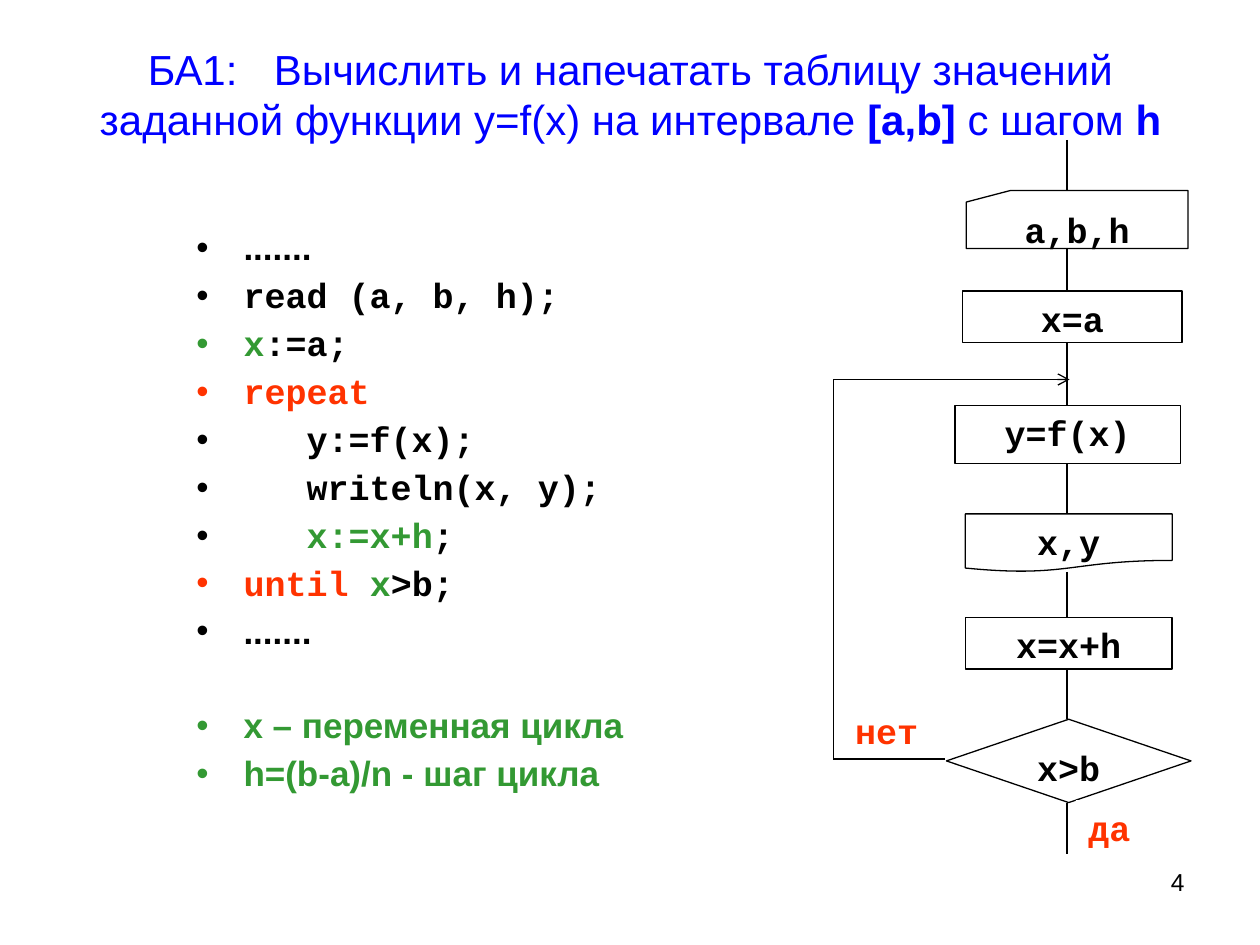
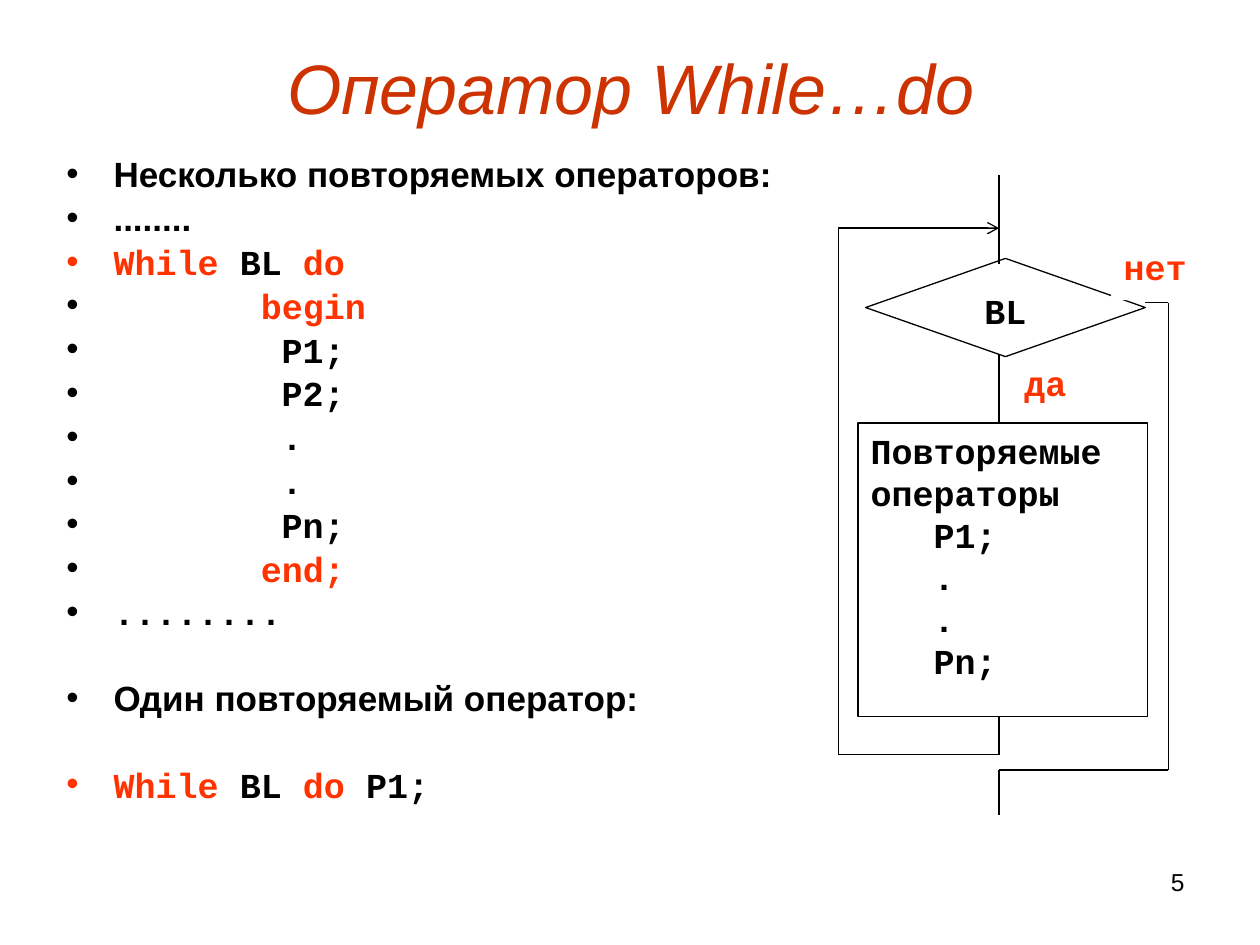
from itertools import pairwise

from lxml.etree import SubElement
from pptx import Presentation
from pptx.dml.color import RGBColor
from pptx.enum.shapes import MSO_CONNECTOR, MSO_SHAPE as Preset
from pptx.enum.text import MSO_ANCHOR as Anchor, PP_ALIGN as Align
from pptx.oxml.ns import qn
from pptx.util import Cm, Pt

BLACK = RGBColor(0x00, 0x00, 0x00)
WHITE = RGBColor(0xFF, 0xFF, 0xFF)
BLUE = RGBColor(0x00, 0x00, 0xFF)
GREEN = RGBColor(0x33, 0x99, 0x33)
RED = RGBColor(0xFF, 0x33, 0x00)
BRICK = RGBColor(0xCC, 0x33, 0x00)

SANS = "Arial"
MONO = "Courier New"
BODY_SIZE = 20
LINE_WIDTH = Pt(0.75)
BULLET_INDENT = Cm(0.95)
BULLET_SPACE = 5.8
TAB_STEP = Cm(2.54)


def add_run(paragraph, text, *, size=BODY_SIZE, font=MONO, color=BLACK,
            bold=False, italic=False):
    run = paragraph.add_run()
    run.text = text
    run.font.size = Pt(size)
    run.font.name = font
    run.font.color.rgb = color
    run.font.bold = bold
    run.font.italic = italic


def add_text_box(slide, left, top, width, height, anchor=Anchor.TOP):
    box = slide.shapes.add_textbox(Cm(left), Cm(top), Cm(width), Cm(height))
    box.text_frame.word_wrap = True
    box.text_frame.vertical_anchor = anchor
    return box.text_frame


def next_paragraph(frame, index):
    return frame.add_paragraph() if index else frame.paragraphs[0]


def add_tab_stops(paragraph):
    tabs = SubElement(paragraph._p.get_or_add_pPr(), qn("a:tabLst"))
    for step in range(8):
        SubElement(tabs, qn("a:tab"), pos=str(step * TAB_STEP), algn="l")


def add_title(slide, top, height, runs, **style):
    """Centred title; each run is (text, bold)."""
    frame = add_text_box(slide, 1.28, top, 22.86, height, Anchor.MIDDLE)
    paragraph = frame.paragraphs[0]
    paragraph.alignment = Align.CENTER
    add_tab_stops(paragraph)
    for text, bold in runs:
        add_run(paragraph, text, font=SANS, bold=bold, **style)


def add_slide_number(slide, number):
    paragraph = add_text_box(slide, 18.21, 17.35, 5.92, 1.32).paragraphs[0]
    paragraph.alignment = Align.RIGHT
    add_run(paragraph, str(number), size=14, font=SANS)


def add_bullet(paragraph, color):
    properties = paragraph._p.get_or_add_pPr()
    properties.set("marL", str(BULLET_INDENT))
    properties.set("indent", str(-BULLET_INDENT))
    bullet_color = SubElement(properties, qn("a:buClr"))
    SubElement(bullet_color, qn("a:srgbClr"), val=str(color))
    SubElement(properties, qn("a:buFont"), typeface=SANS)
    SubElement(properties, qn("a:buChar"), char="•")


def add_listing(slide, left, top, width, height, spacing, lines):
    """Bulleted lines (font, runs); None widens the gap before the next line."""
    frame = add_text_box(slide, left, top, width, height)
    skipped_line = BULLET_SPACE + BODY_SIZE * 1.15 * spacing
    space = 0
    for index, line in enumerate(lines):
        if line is None:
            space += skipped_line
            continue
        font, runs = line
        paragraph = next_paragraph(frame, index)
        paragraph.line_spacing = spacing
        paragraph.space_before = Pt(space)
        add_bullet(paragraph, runs[0][1])
        for text, color in runs:
            add_run(paragraph, text, font=font, color=color, bold=True)
        space = BULLET_SPACE


def code(*runs):
    return MONO, runs


def prose(text, color=BLACK):
    return SANS, [(text, color)]


def add_block(slide, preset, left, top, width, height, text, *, color=BLACK,
              outlined=True, align=Align.CENTER):
    shape = slide.shapes.add_shape(preset, Cm(left), Cm(top), Cm(width), Cm(height))
    shape.shadow.inherit = False
    shape.fill.solid()
    shape.fill.fore_color.rgb = WHITE
    if outlined:
        shape.line.color.rgb = BLACK
        shape.line.width = LINE_WIDTH
    else:
        shape.line.fill.background()
    frame = shape.text_frame
    frame.word_wrap = True
    frame.vertical_anchor = Anchor.TOP
    for index, line in enumerate(text.split("\n")):
        paragraph = next_paragraph(frame, index)
        paragraph.alignment = align
        add_run(paragraph, line, color=color, bold=True)


def add_branch_label(slide, left, top, width, height, text):
    add_block(slide, Preset.RECTANGLE, left, top, width, height, text,
              color=RED, outlined=False, align=Align.LEFT)


def add_route(slide, *points, arrow=False):
    """Straight lines through the points, with an optional arrowhead at the end."""
    for (x1, y1), (x2, y2) in pairwise(points):
        line = slide.shapes.add_connector(
            MSO_CONNECTOR.STRAIGHT, Cm(x1), Cm(y1), Cm(x2), Cm(y2))
        line.line.color.rgb = BLACK
        line.line.width = LINE_WIDTH
        SubElement(line._element.spPr, qn("a:effectLst"))
    if arrow:
        SubElement(line.line._get_or_add_ln(), qn("a:tailEnd"), type="arrow")


def build_table_slide(slide):
    add_title(slide, 0.76, 2.26, [
        ("БА1:\tВычислить и напечатать таблицу значений заданной функции "
         "y=f(x) на интервале ", False),
        ("[a,b]", True), (" с шагом ", False), ("h", True),
    ], size=24, color=BLUE)
    add_listing(slide, 3.71, 4.52, 12.4, 11.99, 0.9, [
        prose("......."),
        code(("read (a, b, h);", BLACK)),
        code(("x", GREEN), (":=a;", BLACK)),
        code(("repeat", RED)),
        code(("   y:=f(x);", BLACK)),
        code(("   writeln(x, y);", BLACK)),
        code(("   ", BLACK), ("x:=x+h", GREEN), (";", BLACK)),
        code(("until ", RED), ("x", GREEN), (">b;", BLACK)),
        prose("......."),
        None,
        prose("x – переменная цикла", GREEN),
        prose("h=(b-a)/n - шаг цикла", GREEN),
    ])

    axis = 21.51
    steps = [
        (Preset.FLOWCHART_CARD, 19.48, 3.84, 4.47, 1.17, "a,b,h"),
        (Preset.RECTANGLE, 19.41, 5.87, 4.42, 1.04, "x=a"),
        (Preset.RECTANGLE, 19.25, 8.18, 4.55, 1.17, "y=f(x)"),
        (Preset.FLOWCHART_DOCUMENT, 19.46, 10.36, 4.17, 1.17, "x,y"),
        (Preset.RECTANGLE, 19.46, 12.45, 4.17, 1.04, "x=x+h"),
        (Preset.FLOWCHART_DECISION, 19.08, 14.5, 4.93, 1.68, "x>b"),
    ]
    line_start = 2.82
    for preset, left, top, width, height, text in steps:
        add_route(slide, (axis, line_start), (axis, top))
        add_block(slide, preset, left, top, width, height, text)
        line_start = top + height
    add_route(slide, (axis, line_start), (axis, 17.22))
    add_route(slide, (19.05, 15.3), (16.8, 15.3), (16.8, 7.65), (21.56, 7.65),
              arrow=True)
    add_branch_label(slide, 16.99, 14.17, 2.44, 0.91, "нет")
    add_branch_label(slide, 21.69, 16.13, 2.31, 0.81, "да")
    add_slide_number(slide, 4)


def build_while_slide(slide):
    add_title(slide, 0.71, 2.06, [("Оператор While…do", False)],
              size=40, color=BRICK, italic=True)
    add_listing(slide, 1.09, 3.12, 15.29, 13.79, 0.8, [
        prose("Несколько повторяемых операторов:"),
        prose("........"),
        code(("While", RED), (" BL ", BLACK), ("do", RED)),
        code(("       ", BLACK), ("begin", RED)),
        *[code((f"        {text}", BLACK)) for text in ("P1;", "P2;", ".", ".", "Pn;")],
        code(("       ", BLACK), ("end;", RED)),
        code(("........", BLACK)),
        None,
        prose("Один повторяемый оператор:"),
        None,
        code(("While", RED), (" BL ", BLACK), ("do ", RED), ("P1;", BLACK)),
    ])

    axis = 20.14
    add_block(slide, Preset.FLOWCHART_DECISION, 17.45, 5.21, 5.64, 1.98, "BL")
    add_block(slide, Preset.RECTANGLE, 17.3, 8.53, 5.84, 5.92,
              "Повторяемые\nоператоры\n   Р1;\n   .\n   .\n   Рn;", align=Align.LEFT)
    add_route(slide, (axis, 14.45), (axis, 15.21), (16.9, 15.21), (16.9, 4.6),
              (axis, 4.6), arrow=True)
    add_route(slide, (23.09, 6.1), (23.55, 6.1), (23.55, 15.52), (axis, 15.52),
              (axis, 16.43))
    add_branch_label(slide, 22.4, 4.83, 2.21, 1.22, "нет")
    add_branch_label(slide, 20.4, 7.16, 1.96, 1.22, "да")
    add_route(slide, (axis, 7.16), (axis, 8.53))
    add_route(slide, (axis, 3.53), (axis, 5.33))
    add_slide_number(slide, 5)


def main():
    presentation = Presentation()
    presentation.slide_width = Cm(25.4)
    presentation.slide_height = Cm(19.05)
    blank = presentation.slide_layouts[6]
    for build in (build_table_slide, build_while_slide):
        build(presentation.slides.add_slide(blank))
    presentation.save("out.pptx")


if __name__ == "__main__":
    main()
